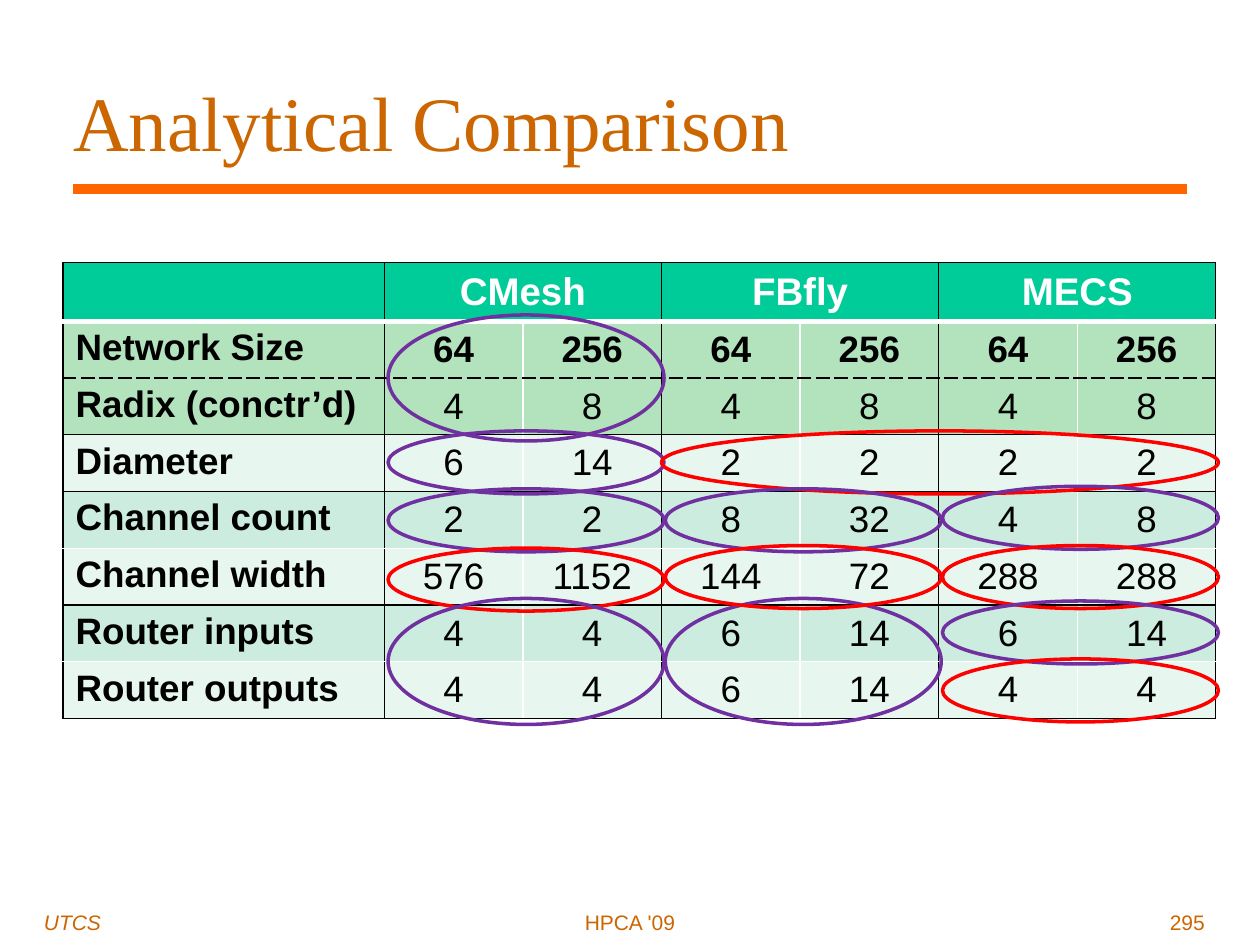
from lxml.etree import SubElement
from pptx import Presentation
from pptx.dml.color import RGBColor
from pptx.enum.shapes import MSO_CONNECTOR, MSO_SHAPE
from pptx.enum.text import MSO_ANCHOR, MSO_AUTO_SIZE, PP_ALIGN
from pptx.oxml.ns import qn
from pptx.util import Inches, Pt

BLACK = RGBColor(0x00, 0x00, 0x00)
WHITE = RGBColor(0xFF, 0xFF, 0xFF)
RUST = RGBColor(0xCC, 0x66, 0x00)
ORANGE = RGBColor(0xFF, 0x66, 0x00)
PURPLE = RGBColor(0x70, 0x30, 0xA0)
RED = RGBColor(0xFF, 0x00, 0x00)
TEAL = RGBColor(0x00, 0xCC, 0x99)
GREEN = RGBColor(0xB3, 0xE3, 0xBD)
PALE = RGBColor(0xE7, 0xF6, 0xEF)
MINT = RGBColor(0xCB, 0xEC, 0xDE)

NETWORKS = ["CMesh", "FBfly", "MECS"]
METRICS = [
    ("Network Size", [64, 256, 64, 256, 64, 256]),
    ("Radix (conctr’d)", [4, 8, 4, 8, 4, 8]),
    ("Diameter", [6, 14, 2, 2, 2, 2]),
    ("Channel count", [2, 2, 8, 32, 4, 8]),
    ("Channel width", [576, 1152, 144, 72, 288, 288]),
    ("Router inputs", [4, 4, 6, 14, 6, 14]),
    ("Router outputs", [4, 4, 6, 14, 4, 4]),
]
ROW_FILLS = [TEAL, GREEN, GREEN, PALE, MINT, PALE, MINT, PALE]
LABEL_WIDTH, VALUE_WIDTH = 2.55, 1.1
HEADER_HEIGHT, ROW_HEIGHT = 0.47, 0.45

# Border lines from top to bottom and from left to right: colour, points, dash
THIN_BLACK = (BLACK, 0.75, "solid")
THIN_WHITE = (WHITE, 1, "solid")
ROW_EDGES = [THIN_BLACK, (WHITE, 3, "solid"), (BLACK, 1, "dash"),
             (BLACK, 1, "solid"), THIN_BLACK, THIN_WHITE, THIN_BLACK,
             THIN_WHITE, THIN_BLACK]
COLUMN_EDGES = [THIN_BLACK] + [THIN_BLACK, THIN_WHITE] * 3 + [THIN_BLACK]

# Highlights: first network, networks covered, top below table top, height, colour
HIGHLIGHTS = [
    (0, 1, 0.42, 1, PURPLE),
    (0, 1, 1.34, 0.5, PURPLE),
    (1, 2, 1.34, 0.5, RED),
    (0, 1, 1.8, 0.5, PURPLE),
    (1, 1, 1.8, 0.5, PURPLE),
    (2, 1, 1.78, 0.5, PURPLE),
    (0, 1, 2.27, 0.5, RED),
    (2, 1, 2.25, 0.5, RED),
    (0, 1, 2.67, 1, PURPLE),
    (1, 1, 2.67, 1, PURPLE),
    (2, 1, 2.69, 0.5, PURPLE),
    (2, 1, 3.15, 0.5, RED),
    (1, 1, 2.25, 0.5, RED),
]


def write(frame, text, align, font):
    paragraph = frame.paragraphs[0]
    paragraph.text = text
    paragraph.alignment = align
    color = font.pop("color")
    for name, value in font.items():
        setattr(paragraph.font, name, value)
    paragraph.font.color.rgb = color
    return paragraph


def add_title(slide, left, top, width, height):
    title = slide.shapes.title
    title.left, title.top = Inches(left), Inches(top)
    title.width, title.height = Inches(width), Inches(height)
    frame = title.text_frame
    layout = {"margin_left": 0, "margin_top": 0, "margin_right": 0,
              "margin_bottom": 0, "vertical_anchor": MSO_ANCHOR.MIDDLE,
              "word_wrap": True, "auto_size": MSO_AUTO_SIZE.NONE}
    for name, value in layout.items():
        setattr(frame, name, value)
    heading = write(frame, "Analytical Comparison", PP_ALIGN.LEFT,
                    {"name": "Times New Roman", "size": Pt(44), "color": RUST})
    heading.line_spacing = 0.93


def add_title_rule(slide, left, right, y):
    rule = slide.shapes.add_connector(MSO_CONNECTOR.STRAIGHT, Inches(left), Inches(y),
                                      Inches(right), Inches(y))
    rule.line.color.rgb = ORANGE
    rule.line.width = Pt(6)
    SubElement(rule._element.spPr, qn("a:effectLst"))


def add_footer(slide, top, height):
    for left, width, text, align, italic in [
            (0.25, 2.08, "UTCS", PP_ALIGN.LEFT, True),
            (7.58, 2.08, "295", PP_ALIGN.RIGHT, False),
            (3.42, 3.16, "HPCA '09", PP_ALIGN.CENTER, False)]:
        box = slide.shapes.add_textbox(Inches(left), Inches(top),
                                       Inches(width), Inches(height))
        box.text_frame.word_wrap = True
        write(box.text_frame, text, align,
              {"name": "Arial", "size": Pt(12), "italic": italic, "color": RUST})


def set_borders(cell, edges):
    properties = cell._tc.get_or_add_tcPr()
    for tag, (color, points, dash) in zip(("lnL", "lnR", "lnT", "lnB"), edges):
        line = SubElement(properties, qn(f"a:{tag}"), w=str(Pt(points)))
        fill = SubElement(line, qn("a:solidFill"))
        SubElement(fill, qn("a:srgbClr"), val=str(color))
        SubElement(line, qn("a:prstDash"), val=dash)


def add_comparison_table(slide, left, top, width, height):
    header = [""] + [text for network in NETWORKS for text in (network, "")]
    rows = [header] + [[label, *values] for label, values in METRICS]
    table = slide.shapes.add_table(len(rows), len(header), Inches(left), Inches(top),
                                   Inches(width), Inches(height)).table
    table.horz_banding = False
    for c, column in enumerate(table.columns):
        column.width = Inches(VALUE_WIDTH if c else LABEL_WIDTH)
    for r, row in enumerate(table.rows):
        row.height = Inches(ROW_HEIGHT if r else HEADER_HEIGHT)

    for r, values in enumerate(rows):
        column_edges = COLUMN_EDGES if r else [THIN_BLACK] * len(COLUMN_EDGES)
        for c, value in enumerate(values):
            cell = table.cell(r, c)
            set_borders(cell, column_edges[c:c + 2] + ROW_EDGES[r:r + 2])
            cell.fill.solid()
            cell.fill.fore_color.rgb = ROW_FILLS[r]
            is_label = c == 0
            cell.vertical_anchor = MSO_ANCHOR.TOP if is_label else MSO_ANCHOR.MIDDLE
            write(cell.text_frame, str(value),
                  PP_ALIGN.LEFT if is_label else PP_ALIGN.CENTER,
                  {"name": "Arial", "size": Pt(21 if r else 22),
                   "bold": is_label or r < 2, "color": BLACK if r else WHITE})
    for c in range(1, len(header), 2):
        table.cell(0, c).merge(table.cell(0, c + 1))


def add_highlights(slide, left, top):
    """Ring groups of values in the table whose corner is at left, top."""
    group_width = 2 * VALUE_WIDTH
    for first, covered, offset, height, color in HIGHLIGHTS:
        inset = 0.03 if covered == 1 else 0
        ring = slide.shapes.add_shape(
            MSO_SHAPE.OVAL,
            Inches(left + LABEL_WIDTH + first * group_width + inset),
            Inches(top + offset),
            Inches(covered * group_width + 0.02 - inset), Inches(height))
        ring.shadow.inherit = False
        ring.fill.background()
        ring.line.color.rgb = color
        ring.line.width = Pt(2)


def main():
    prs = Presentation()
    prs.slide_width, prs.slide_height = Inches(10), Inches(7.5)
    slide = prs.slides.add_slide(prs.slide_layouts[5])
    add_title_rule(slide, 0.58, 9.42, 1.5)
    add_title(slide, 0.58, 0.42, 8.66, 1.16)
    add_footer(slide, 7.17, 0.25)
    add_comparison_table(slide, 0.5, 2.08, 9.17, 3.62)
    add_highlights(slide, 0.5, 2.08)
    prs.save("out.pptx")


if __name__ == "__main__":
    main()
